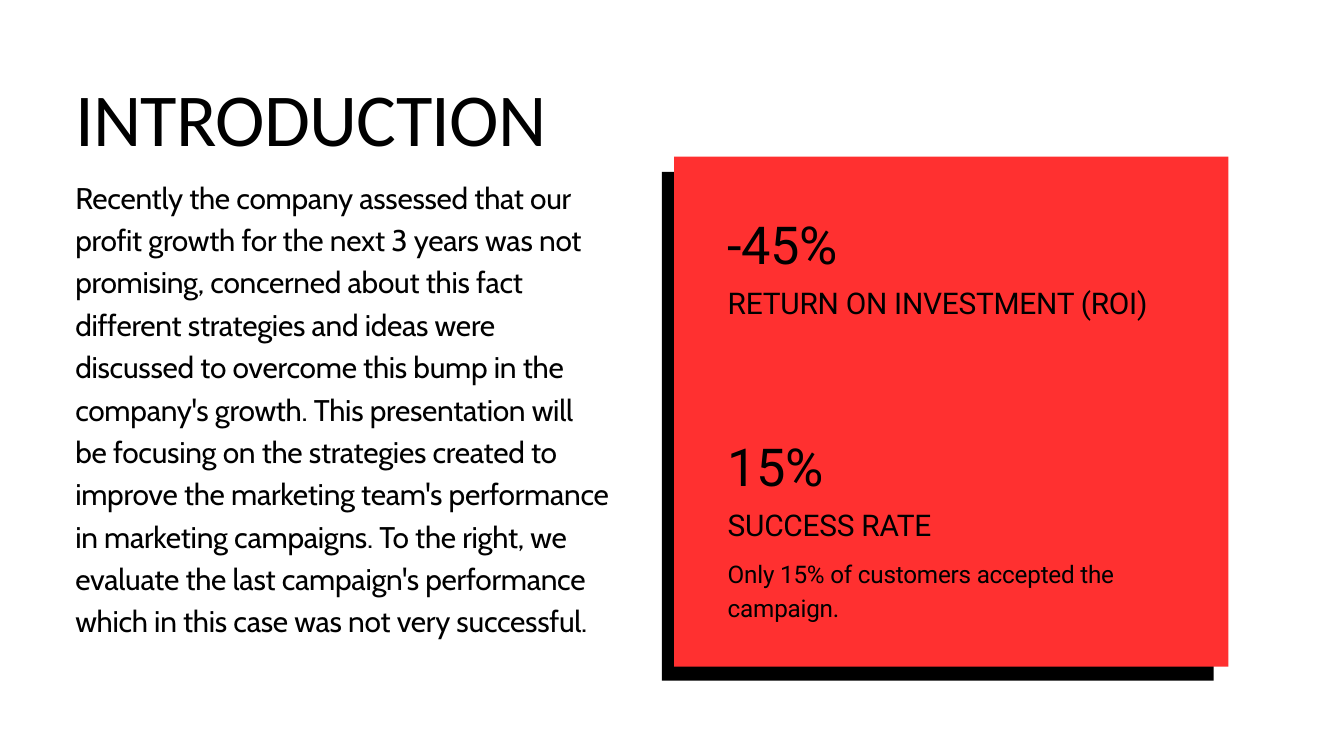
from pptx import Presentation
from pptx.dml.color import RGBColor
from pptx.enum.shapes import MSO_SHAPE
from pptx.enum.text import MSO_ANCHOR, MSO_AUTO_SIZE, PP_ALIGN
from pptx.oxml.xmlchemy import OxmlElement
from pptx.util import Inches, Pt

WIDTH, HEIGHT = 20, 11.25
BLACK, RED = "000000", "FF3030"
LEFT_COL, RIGHT_COL = 1.12, 10.83
STAT_WIDTH = 6.63

INTRO = (
    "Recently the company assessed that our profit growth for the next 3 years "
    "was not promising, concerned about this fact different strategies and ideas "
    "were discussed to overcome this bump in the company's growth. This "
    "presentation will be focusing on the strategies created to improve the "
    "marketing team's performance in marketing campaigns. To the right, we "
    "evaluate the last campaign's performance which in this case was not very "
    "successful."
)
STATS = [
    (3.27, "-45%", "RETURN ON INVESTMENT (ROI)", None),
    (6.58, "15%", "SUCCESS RATE", "Only 15% of customers accepted the campaign."),
]


def color(value):
    return RGBColor.from_string(value)


def place(sp, x, y, w, h):
    sp.left, sp.top, sp.width, sp.height = (Inches(v) for v in (x, y, w, h))


def write(sp, text, font, size, leading):
    """Fill a text shape with one left-aligned, slightly tightened paragraph."""
    tf = sp.text_frame
    tf.word_wrap = True
    tf.auto_size = MSO_AUTO_SIZE.NONE
    tf.vertical_anchor = MSO_ANCHOR.TOP
    tf.margin_left = tf.margin_top = tf.margin_right = tf.margin_bottom = 0
    p = tf.paragraphs[0]
    p.alignment = PP_ALIGN.LEFT
    p.line_spacing = Pt(leading)
    p.space_before = Pt(0)
    r = p.add_run()
    r.text = text
    r.font.name = font
    r.font.size = Pt(size)
    r.font.color.rgb = color(BLACK)
    r._r.get_or_add_rPr().set("spc", str(-size))
    return p


def remove_bullet(p):
    pPr = p._p.get_or_add_pPr()
    pPr.set("marL", "0")
    pPr.set("indent", "0")
    pPr.append(OxmlElement("a:buNone"))


def add_panel(s, x, y, w, h, fill):
    sp = s.shapes.add_shape(
        MSO_SHAPE.RECTANGLE, Inches(x), Inches(y), Inches(w), Inches(h))
    sp.shadow.inherit = False
    sp.fill.solid()
    sp.fill.fore_color.rgb = color(fill)
    sp.line.fill.background()


def add_stat(s, top, value, label, note):
    lines = [
        (value, 0, 0.87, 56, 58.8),
        (label, 1.03, 0.5, 32, 33.6),
        (note, 1.66, 0.97, 26, 36.9),
    ]
    for text, offset, height, size, leading in lines:
        if text:
            sp = s.shapes.add_textbox(0, 0, 0, 0)
            place(sp, RIGHT_COL, top + offset, STAT_WIDTH, height)
            write(sp, text, "Roboto", size, leading)


def main():
    prs = Presentation()
    prs.slide_width, prs.slide_height = Inches(WIDTH), Inches(HEIGHT)
    s = prs.slides.add_slide(prs.slide_layouts[1])

    title, body = s.shapes.title, s.placeholders[1]
    place(title, LEFT_COL, 1.24, 8.13, 1.21)
    write(title, "INTRODUCTION", "Calibri", 80, 84)
    place(body, LEFT_COL, 2.57, 7.94, 8.1)
    remove_bullet(write(body, INTRO, "Cabin", 32, 45.4))

    add_panel(s, 9.85, 2.56, 8.21, 7.57, BLACK)
    add_panel(s, 10.03, 2.33, 8.25, 7.59, RED)
    for stat in STATS:
        add_stat(s, *stat)

    prs.save("out.pptx")


if __name__ == "__main__":
    main()
